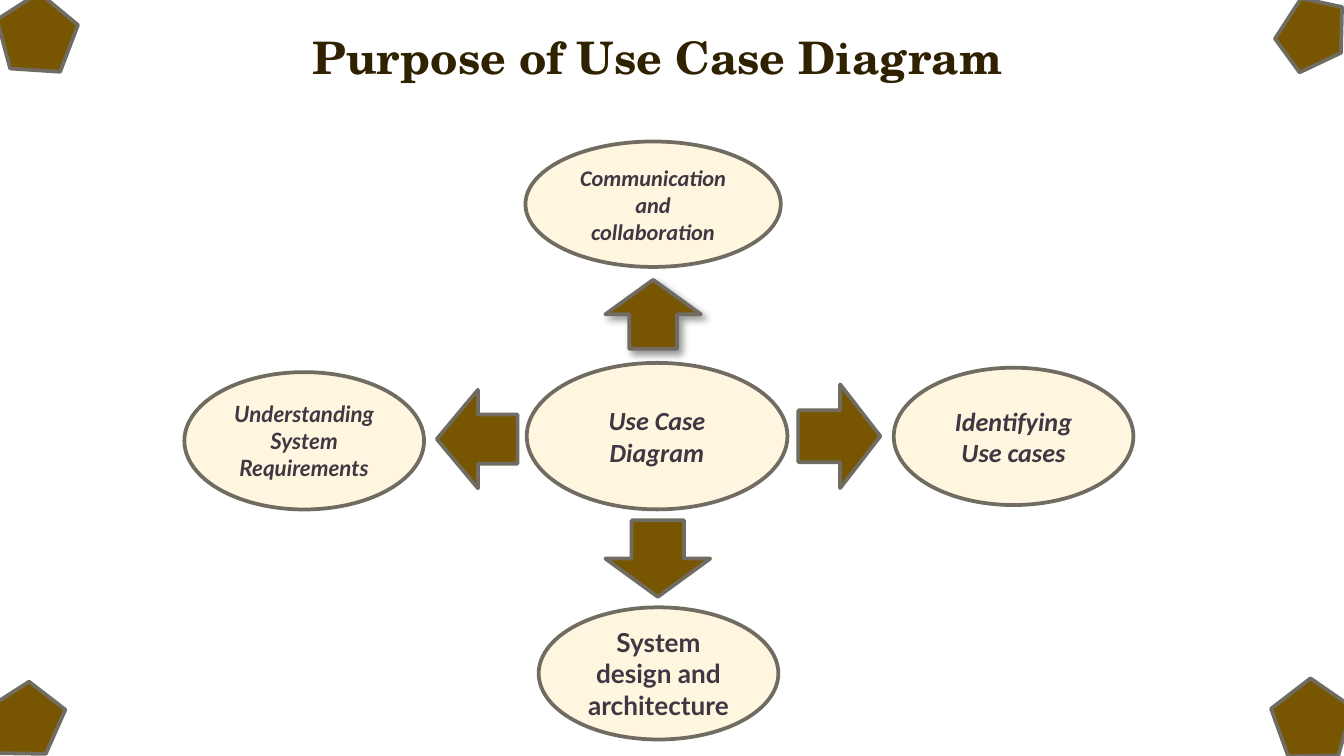
from lxml import etree
from pptx import Presentation
from pptx.dml.color import RGBColor
from pptx.enum.shapes import MSO_SHAPE
from pptx.enum.text import MSO_ANCHOR, PP_ALIGN
from pptx.oxml.ns import qn
from pptx.util import Pt

ELLIPSE = MSO_SHAPE.OVAL
ARROW = MSO_SHAPE.RIGHT_ARROW
PENTAGON = MSO_SHAPE.REGULAR_PENTAGON
MIDDLE = MSO_ANCHOR.MIDDLE
CENTER = PP_ALIGN.CENTER

CREAM = "FFF6E0"
BROWN = "785500"
GREY = "706C62"
PLUM = "3F3742"
DARK_BROWN = "302200"


def color(value):
    return RGBColor.from_string(value)


def write_text(frame, text, font="Calibri", size=14, ink=PLUM, italic=False):
    frame.word_wrap = True
    frame.vertical_anchor = MIDDLE
    para = frame.paragraphs[0]
    para.alignment = CENTER
    span = para.add_run()
    span.text = text
    span.font.name = font
    span.font.size = Pt(size)
    span.font.bold = True
    span.font.italic = italic
    span.font.color.rgb = color(ink)


class DiagramSlide:
    def __init__(self, page, outline=GREY, line_width=2):
        self.page = page
        self.outline = outline
        self.line_width = line_width

    def shape(self, kind, place, fill, rotation=0):
        shape = self.page.shapes.add_shape(kind, *map(Pt, place))
        shape.shadow.inherit = False
        shape.rotation = rotation
        shape.fill.solid()
        shape.fill.fore_color.rgb = color(fill)
        shape.line.color.rgb = color(self.outline)
        shape.line.width = Pt(self.line_width)
        return shape

    def bubble(self, place, text, **style):
        bubble = self.shape(ELLIPSE, place, CREAM)
        write_text(bubble.text_frame, text, **style)

    def arrow(self, place, rotation, head=0.5, shadow=False):
        arrow = self.shape(ARROW, place, BROWN, rotation)
        arrow.adjustments[1] = head
        if shadow:
            self.cast_shadow(arrow)

    def cast_shadow(self, shape):
        effects = shape.element.spPr.find(qn("a:effectLst"))
        shadow = etree.SubElement(
            effects, qn("a:outerShdw"), blurRad=str(Pt(4)), dist=str(Pt(3)),
            dir=str(45 * 60000), algn="tl", rotWithShape="0")
        tint = etree.SubElement(shadow, qn("a:srgbClr"), val="000000")
        etree.SubElement(tint, qn("a:alpha"), val="40000")

    def corner(self, place, rotation):
        self.shape(PENTAGON, place, BROWN, rotation)

    def title(self, place, text, **style):
        box = self.page.shapes.add_textbox(*map(Pt, place))
        frame = box.text_frame
        frame.margin_left = frame.margin_right = Pt(7.2)
        frame.margin_top = frame.margin_bottom = Pt(7.2)
        write_text(frame, text, **style)


def main():
    deck = Presentation()
    deck.slide_width, deck.slide_height = Pt(720), Pt(405)
    slide = DiagramSlide(deck.slides.add_slide(deck.slide_layouts[6]))

    slide.bubble((282.2, 194.4, 139.7, 78.5), "Use Case Diagram", italic=True)

    slide.arrow((427.7, 205.9, 43.9, 55.6), 0, head=0.49)
    slide.arrow((234, 208.8, 43.2, 52.8), 180, head=0.51)
    slide.arrow((331.9, 271.2, 41, 56.2), 90)
    slide.arrow((331.4, 142.8, 37, 51.2), 270, shadow=True)

    slide.bubble((281.5, 75.8, 136.8, 67.2), "Communication and collaboration",
                 size=12, italic=True)
    slide.bubble((98.8, 199.4, 128.4, 73.6), "Understanding System Requirements",
                 font="Lato", size=12, italic=True)
    slide.bubble((288.6, 325.4, 128.4, 70.8), "System design and architecture",
                 font="Lato")
    slide.bubble((478.8, 197, 128.4, 73.6), "Identifying Use cases", italic=True)

    corners = (
        ((683.3, 2.2, 41.8, 33.8), 123),
        ((-0.7, 0, 43.2, 41.8), 147.3),
        ((-7.2, 369.4, 43.2, 37.4), 147.3),
        ((682.6, 367.2, 43.2, 41.8), 142.4),
    )
    for place, rotation in corners:
        slide.corner(place, rotation)

    slide.title((123.8, 1.4, 456.5, 57.6), "Purpose of Use Case Diagram",
                font="TeX Gyre Schola", size=24, ink=DARK_BROWN)

    deck.save("out.pptx")


if __name__ == "__main__":
    main()
